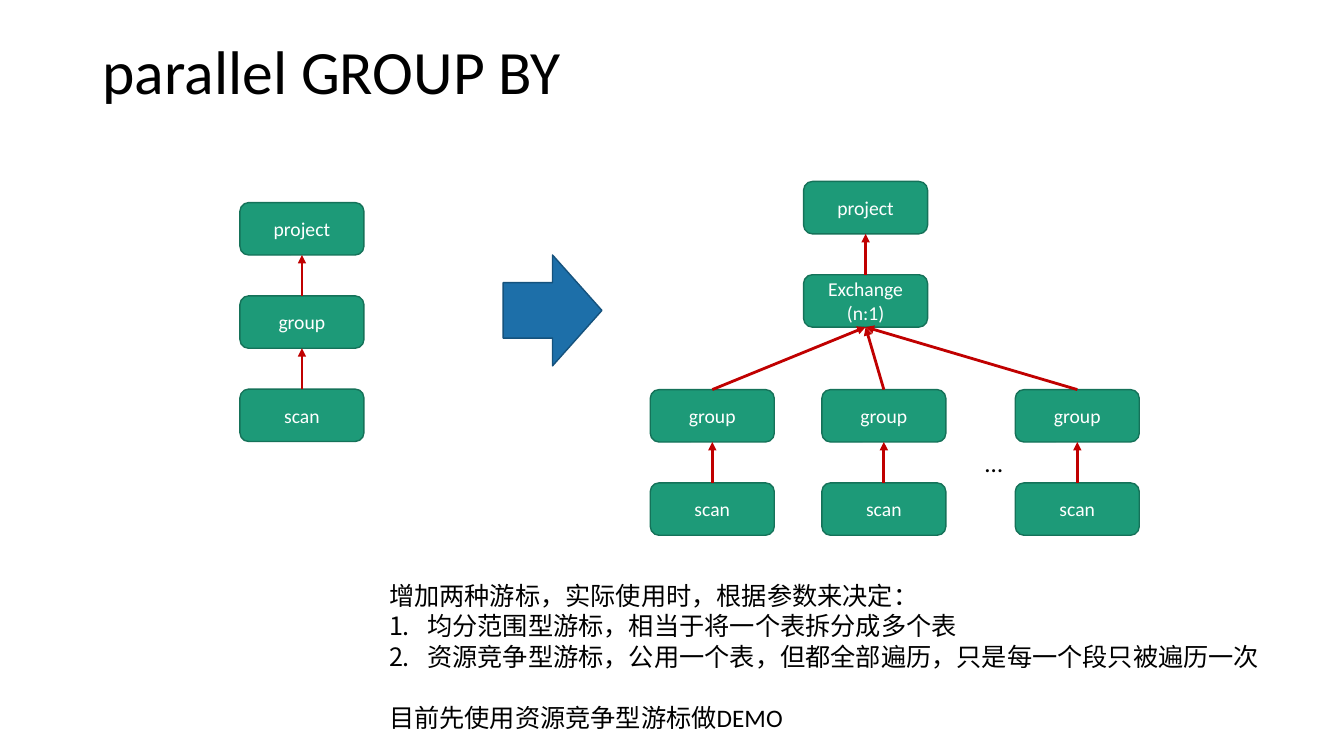
import pptx
import pptx.dml.color
import pptx.enum.shapes
import pptx.enum.text
import pptx.oxml.ns
import pptx.util
from lxml import etree

RGBColor = pptx.dml.color.RGBColor
BLACK = RGBColor(0x00, 0x00, 0x00)
WHITE = RGBColor(0xFF, 0xFF, 0xFF)
GREEN = RGBColor(0x1D, 0x9A, 0x78)
DARK_GREEN = RGBColor(0x15, 0x72, 0x59)
BLUE = RGBColor(0x1D, 0x6F, 0xA9)
DARK_BLUE = RGBColor(0x15, 0x52, 0x7D)
RED = RGBColor(0xC0, 0x00, 0x00)

Inches = pptx.util.Inches
Pt = pptx.util.Pt
SHAPES = pptx.enum.shapes.MSO_SHAPE
MIDDLE = pptx.enum.text.MSO_ANCHOR.MIDDLE
CENTER = pptx.enum.text.PP_ALIGN.CENTER

# Grid, in inches
SLIDE_WIDTH, SLIDE_HEIGHT = 13.33, 7.5
NODE_WIDTH, NODE_HEIGHT = 1.23, 0.52
ROW_STEP = 1.85 / 2
TOP_SITE, BOTTOM_SITE = 0, 2


def stack_height(rows):
    return (rows - 1) * ROW_STEP + NODE_HEIGHT


def write_lines(frame, lines, size, color, alignment=None):
    """Write one paragraph per line and return the paragraphs."""
    for index, line in enumerate(lines):
        paragraph = frame.paragraphs[0] if index == 0 else frame.add_paragraph()
        paragraph.alignment = alignment
        run = paragraph.add_run()
        run.text = line
        run.font.size = Pt(size)
        run.font.name = "Calibri"
        run.font.color.rgb = color
    return frame.paragraphs


def add_text(slide, box, lines, size, wrap=False):
    frame = slide.shapes.add_textbox(*map(Inches, box)).text_frame
    frame.word_wrap = wrap
    write_lines(frame, lines, size, BLACK)
    return frame


def add_block(slide, kind, box, fill, line):
    shape = slide.shapes.add_shape(kind, *map(Inches, box))
    shape.shadow.inherit = False
    shape.fill.solid()
    shape.fill.fore_color.rgb = fill
    shape.line.color.rgb = line
    shape.line.width = Pt(1)
    return shape


def add_node(slide, left, top, label):
    node = add_block(slide, SHAPES.ROUNDED_RECTANGLE,
                     (left, top, NODE_WIDTH, NODE_HEIGHT), GREEN, DARK_GREEN)
    node.text_frame.word_wrap = True
    node.text_frame.vertical_anchor = MIDDLE
    write_lines(node.text_frame, label.split("\n"), 14, WHITE, CENTER)
    return node


def add_flow(slide, lower, upper):
    """Arrow from the top of the lower node to the bottom of the upper one."""
    connector = slide.shapes.add_connector(
        pptx.enum.shapes.MSO_CONNECTOR.STRAIGHT, 0, 0, 0, 0)
    connector.begin_connect(lower, TOP_SITE)
    connector.end_connect(upper, BOTTOM_SITE)
    connector.line.color.rgb = RED
    connector.line.width = Pt(2)
    qn = pptx.oxml.ns.qn
    etree.SubElement(connector.line._get_or_add_ln(), qn("a:tailEnd"), type="triangle")
    etree.SubElement(connector._element.spPr, qn("a:effectLst"))


def add_stack(slide, left, top, labels):
    """Column of nodes, each feeding the one above."""
    nodes = [add_node(slide, left, top + row * ROW_STEP, label)
             for row, label in enumerate(labels)]
    for upper, lower in zip(nodes, nodes[1:]):
        add_flow(slide, lower, upper)
    return nodes


def add_parallel_plan(slide, left, top, width, height):
    free_width = width - NODE_WIDTH
    exchange = add_stack(slide, left + 0.42 * free_width, top,
                         ["project", "Exchange\n(n:1)"])[-1]
    branch_top = top + height - stack_height(2)
    for share in (0, 0.47, 1):
        group = add_stack(slide, left + share * free_width, branch_top,
                          ["group", "scan"])[0]
        add_flow(slide, group, exchange)
    # Further branches
    add_text(slide, (left + 0.89 * free_width, branch_top + NODE_HEIGHT, 0.38, 0.4),
             ["…"], 18)


def add_notes_text(slide, box):
    paragraphs = add_text(slide, box, [
        "增加两种游标，实际使用时，根据参数来决定：",
        "均分范围型游标，相当于将一个表拆分成多个表",
        "资源竞争型游标，公用一个表，但都全部遍历，只是每一个段只被遍历一次",
        "目前先使用资源竞争型游标做DEMO",
    ], 18).paragraphs
    for paragraph in paragraphs[1:3]:
        properties = paragraph._p.get_or_add_pPr()
        properties.set("marL", str(Inches(0.38)))
        properties.set("indent", str(-Inches(0.38)))
        etree.SubElement(properties, pptx.oxml.ns.qn("a:buFont"), typeface="+mj-lt")
        etree.SubElement(properties, pptx.oxml.ns.qn("a:buAutoNum"), type="arabicPeriod")
    paragraphs[-1].space_before = Pt(22)


def add_title(slide, box):
    frame = add_text(slide, box, ["parallel GROUP BY"], 44, wrap=True)
    frame.vertical_anchor = MIDDLE
    frame.paragraphs[0].line_spacing = 0.9


def main():
    presentation = pptx.Presentation()
    presentation.slide_width = Inches(SLIDE_WIDTH)
    presentation.slide_height = Inches(SLIDE_HEIGHT)
    slide = presentation.slides.add_slide(presentation.slide_layouts[6])

    add_title(slide, (0.92, 0.29, 11.5, 0.9))
    # Serial plan, turned into the parallel plan
    add_stack(slide, 2.38, 2.01, ["project", "group", "scan"])
    add_block(slide, SHAPES.RIGHT_ARROW, (4.99, 2.53, 0.98, 1.1), BLUE, DARK_BLUE)
    add_parallel_plan(slide, 6.45, 1.8, 4.85, 3.51)
    add_notes_text(slide, (3.76, 5.71, 8.91, 1.62))

    presentation.save("out.pptx")


if __name__ == "__main__":
    main()
